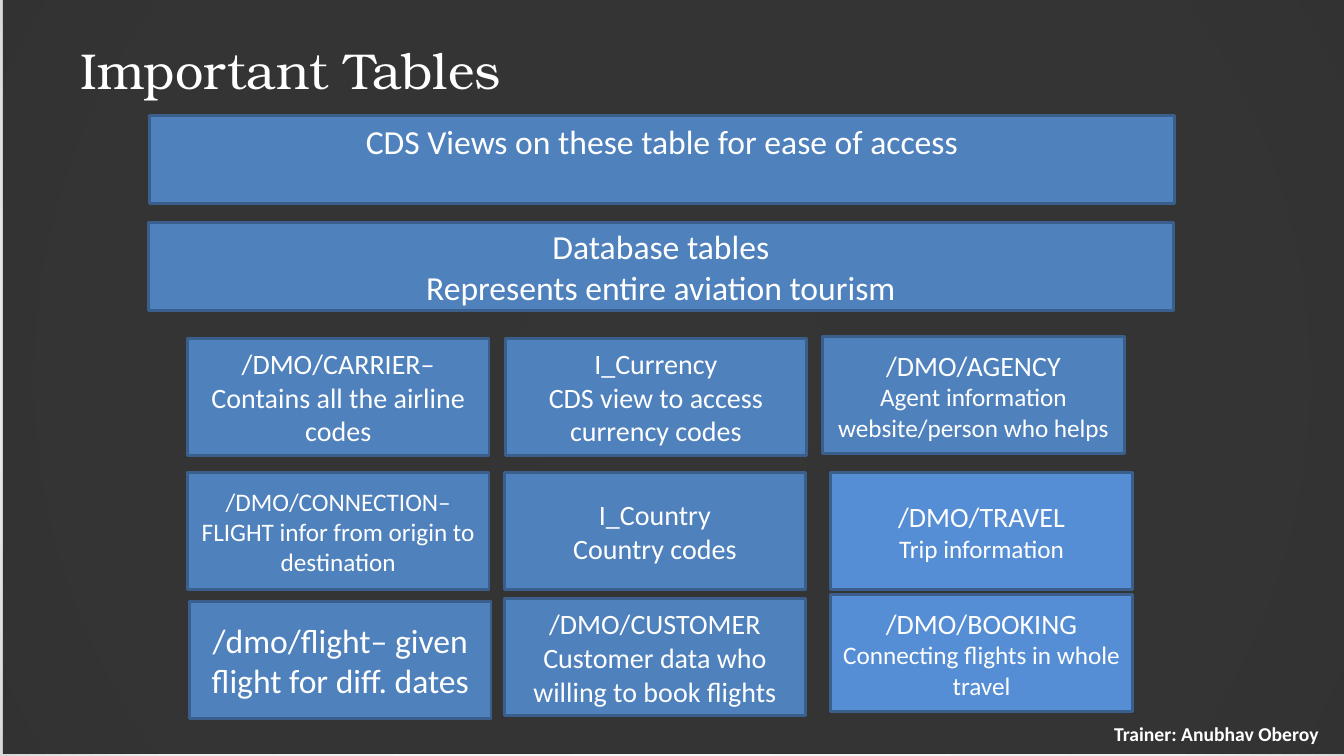
import pptx
import pptx.util
import pptx.oxml
import pptx.dml.color
import pptx.enum.text
import pptx.enum.shapes

Inches, Pt = pptx.util.Inches, pptx.util.Pt
ANCHOR = pptx.enum.text.MSO_ANCHOR
ALIGN = pptx.enum.text.PP_ALIGN
COLORS = {
    "panel": "262626",
    "box": "4F81BD",
    "trip": "558ED5",
    "edge": "3A5F8C",
    "text": "FFFFFF",
}
RGB = {name: pptx.dml.color.RGBColor.from_string(value) for name, value in COLORS.items()}
A_NS = 'xmlns:a="http://schemas.openxmlformats.org/drawingml/2006/main"'
WIDE_INSETS = {"margin_left": Inches(0.13), "margin_right": Inches(0.13),
               "margin_top": Inches(0.07), "margin_bottom": Inches(0.07)}


def write_lines(frame, lines, align, anchor=ANCHOR.MIDDLE, font="Calibri", bold=False, insets=None):
    """Fill a text frame with one paragraph for each (text, size) pair."""
    settings = {"word_wrap": True, "auto_size": pptx.enum.text.MSO_AUTO_SIZE.NONE,
                "vertical_anchor": anchor, **(insets or {})}
    for key, value in settings.items():
        setattr(frame, key, value)
    for number, (text, size) in enumerate(lines):
        paragraph = frame.add_paragraph() if number else frame.paragraphs[0]
        paragraph.alignment = align
        run = paragraph.add_run()
        run.text = text
        for key, value in {"name": font, "size": Pt(size), "bold": bold}.items():
            setattr(run.font, key, value)
        run.font.color.rgb = RGB["text"]


def add_box(left, top, width, height, fill, lines=(), anchor=ANCHOR.MIDDLE):
    box = slide.shapes.add_shape(pptx.enum.shapes.MSO_SHAPE.RECTANGLE,
                                 Inches(left), Inches(top), Inches(width), Inches(height))
    box.shadow.inherit = False
    box.fill.solid()
    box.fill.fore_color.rgb = RGB[fill]
    if lines:
        box.line.color.rgb = RGB["edge"]
        box.line.width = Pt(2)
        write_lines(box.text_frame, lines, ALIGN.CENTER, anchor)
    else:
        box.line.fill.background()
    return box


deck = pptx.Presentation()
deck.slide_width, deck.slide_height = Inches(13.33), Inches(7.5)
slide = deck.slides.add_slide(deck.slide_layouts[5])

# Radial light background, mostly covered by a dark translucent panel
slide.background.fill.solid()
plain_fill = slide.background._cSld.bg.bgPr[0]
stops = "".join(f'<a:gs pos="{position}000"><a:srgbClr val="{color}"/></a:gs>'
                for position, color in [(0, "FFFFFF"), (81, "EEEEEE"), (100, "D9D9D9")])
plain_fill.getparent().replace(plain_fill, pptx.oxml.parse_xml(
    f'<a:gradFill {A_NS} rotWithShape="1"><a:gsLst>{stops}</a:gsLst><a:path path="circle">'
    '<a:fillToRect l="50000" t="50000" r="50000" b="50000"/></a:path></a:gradFill>'))

panel = add_box(0.03, -0.02, 13.33, 7.5, "panel")
panel.fill._xPr.solidFill[0].append(pptx.oxml.parse_xml(f'<a:alpha {A_NS} val="93000"/>'))
slide.shapes._spTree.insert(2, panel._element)

title = slide.shapes.title
title.left, title.top, title.width, title.height = map(Inches, (0.67, 0.3, 12, 0.78))
write_lines(title.text_frame, [("Important Tables", 36)], ALIGN.LEFT,
            font="TeX Gyre Bonum", insets=WIDE_INSETS)

trainer = slide.shapes.add_textbox(*map(Inches, (10.84, 7.08, 2.45, 0.39)))
write_lines(trainer.text_frame, [("Trainer: Anubhav Oberoy", 14)], ALIGN.CENTER,
            bold=True, insets=WIDE_INSETS)

# Two wide layers above the grid of tables
add_box(1.47, 2.21, 10.17, 0.87, "box",
        [("Database tables", 24), ("Represents entire aviation tourism", 24)])
add_box(1.48, 1.15, 10.17, 0.87, "box",
        [("CDS Views on these table for ease of access", 24)], ANCHOR.TOP)

# Each column: left edge, then cards as (x nudge, y nudge, fill, lines)
ROW_TOPS = [3.36, 4.69, 5.94]
COLUMNS = [
    (1.86, [
        (0, 0, "box", [("/DMO/CARRIER– Contains all the airline codes", 20)]),
        (0, 0, "box", [("/DMO/CONNECTION– FLIGHT infor from origin to destination", 18)]),
        (0.02, 0.03, "box", [("/dmo/flight– given flight for diff. dates", 24)]),
    ]),
    (5, [
        (0.01, 0, "box", [("I_Currency", 20), ("CDS view to access currency codes", 20)]),
        (0, 0, "box", [("I_Country", 20), ("Country codes", 20)]),
        (0, 0, "box", [("/DMO/CUSTOMER", 20), ("Customer data who willing to book flights", 20)]),
    ]),
    (8.24, [
        (-0.08, -0.02, "box",
         [("/DMO/AGENCY", 20), ("Agent information website/person who helps", 18)]),
        (0, 0, "trip", [("/DMO/TRAVEL", 20), ("Trip information", 18)]),
        (0, -0.04, "trip", [("/DMO/BOOKING", 20), ("Connecting flights in whole travel", 18)]),
    ]),
]
for left, cards in COLUMNS:
    for top, (dx, dy, fill, lines) in zip(ROW_TOPS, cards):
        add_box(left + dx, top + dy, 2.99, 1.16, fill, lines)

deck.save("out.pptx")
